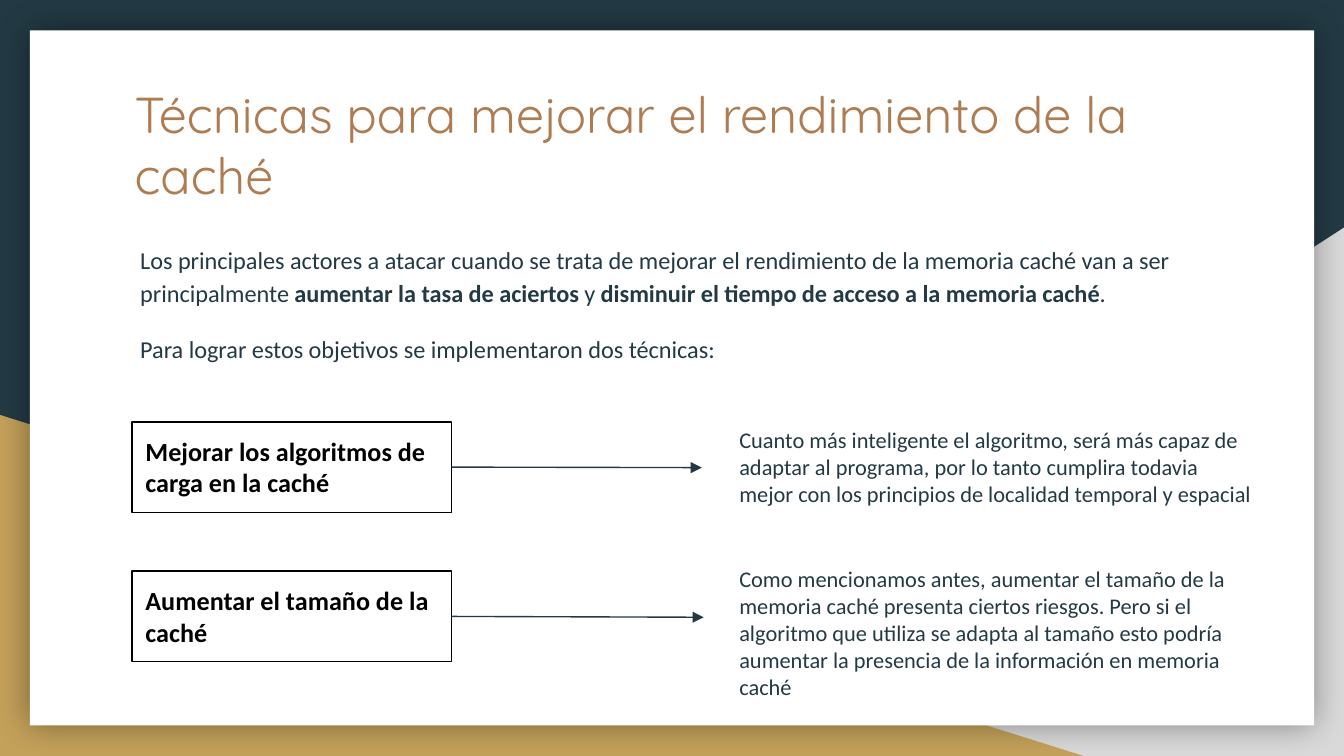
from lxml.etree import SubElement
from pptx import Presentation
from pptx.dml.color import RGBColor
from pptx.enum.shapes import MSO_CONNECTOR, MSO_SHAPE
from pptx.enum.text import MSO_ANCHOR, PP_ALIGN
from pptx.oxml import parse_xml
from pptx.oxml.ns import nsdecls, qn
from pptx.util import Pt

NAVY, GOLD, GRAY, WHITE, BLACK, COPPER = (
    "233A44", "C4A15A", "D9D9D9", "FFFFFF", "000000", "AF7B51")
INSET = 7.2

TITLE = [[("Técnicas para mejorar el rendimiento de la caché", False)]]
INTRO = [
    [("Los principales actores a atacar cuando se trata de mejorar el rendimiento "
      "de la memoria caché van a ser principalmente ", False),
     ("aumentar la tasa de aciertos", True),
     (" y ", False),
     ("disminuir el tiempo de acceso a la memoria caché", True),
     (".", False)],
    [("Para lograr estos objetivos se implementaron dos técnicas:", False)],
]
# technique, box top, arrow end (x, y), explanation, explanation top and height
TECHNIQUES = [
    ("Mejorar los algoritmos de carga en la caché", 226, (376, 250.5),
     "Cuanto más inteligente el algoritmo, será más capaz de adaptar al programa, "
     "por lo tanto cumplira todavia mejor con los principios de localidad temporal "
     "y espacial", 221.3, 58),
    ("Aumentar el tamaño de la caché", 306, (377, 330.7),
     "Como mencionamos antes, aumentar el tamaño de la memoria caché presenta "
     "ciertos riesgos. Pero si el algoritmo que utiliza se adapta al tamaño esto "
     "podría aumentar la presencia de la información en memoria caché", 295.7, 87),
]


def color(hex_code):
    return RGBColor.from_string(hex_code)


def set_all(target, values):
    for name, value in values.items():
        setattr(target, name, value)


def add_panel(slide, preset, bounds, fill=None, line=None):
    panel = slide.shapes.add_shape(preset, *map(Pt, bounds))
    panel.shadow.inherit = False
    if fill:
        panel.fill.solid()
        panel.fill.fore_color.rgb = color(fill)
    else:
        panel.fill.background()
    if line:
        panel.line.color.rgb = color(line)
        panel.line.width = Pt(0.75)
    else:
        panel.line.fill.background()
    return panel


def add_glow_shadow(panel):
    """Give the panel a soft dark shadow on all sides."""
    effects = panel.element.spPr.find(qn("a:effectLst"))
    effects.append(parse_xml(
        f'<a:outerShdw {nsdecls("a")} blurRad="{Pt(18)}" dist="0" algn="ctr" '
        'rotWithShape="0"><a:srgbClr val="000000"><a:alpha val="40000"/>'
        '</a:srgbClr></a:outerShdw>'))


def write(holder, paragraphs, size, hex_code, font="Calibri", spacing=None, gap=0):
    frame = holder.text_frame
    set_all(frame, {"word_wrap": True, "vertical_anchor": MSO_ANCHOR.TOP,
                    "margin_left": Pt(INSET), "margin_right": Pt(INSET),
                    "margin_top": Pt(INSET), "margin_bottom": Pt(INSET)})
    for index, runs in enumerate(paragraphs):
        paragraph = frame.add_paragraph() if index else frame.paragraphs[0]
        set_all(paragraph, {"alignment": PP_ALIGN.LEFT, "line_spacing": spacing,
                            "space_before": Pt(gap if index else 0)})
        for text, bold in runs:
            run = paragraph.add_run()
            run.text = text
            set_all(run.font, {"name": font, "size": Pt(size), "bold": bold})
            run.font.color.rgb = color(hex_code)


def add_text(slide, bounds, paragraphs, size, hex_code, **options):
    write(slide.shapes.add_textbox(*map(Pt, bounds)), paragraphs, size, hex_code,
          **options)


def add_arrow(slide, source, end):
    """Draw an arrow from the right side of source to a point."""
    arrow = slide.shapes.add_connector(
        MSO_CONNECTOR.STRAIGHT, 0, 0, *map(Pt, end))
    arrow.begin_connect(source, 3)
    arrow.line.color.rgb = color(NAVY)
    arrow.line.width = Pt(0.75)
    SubElement(arrow.line._get_or_add_ln(), qn("a:tailEnd"), type="triangle")
    SubElement(arrow.element.spPr, qn("a:effectLst"))


def add_backdrop(slide):
    slide.background.fill.solid()
    slide.background.fill.fore_color.rgb = color(NAVY)
    corner = add_panel(slide, MSO_SHAPE.RIGHT_TRIANGLE, (282, 122, 438, 283), GRAY)
    corner.element.spPr.xfrm.set("flipH", "1")
    add_panel(slide, MSO_SHAPE.RIGHT_TRIANGLE, (0, 222.3, 580.5, 182.7), GOLD)
    page = add_panel(slide, MSO_SHAPE.RECTANGLE, (16, 16.3, 688, 372.4), WHITE)
    add_glow_shadow(page)


def main():
    deck = Presentation()
    set_all(deck, {"slide_width": Pt(720), "slide_height": Pt(405)})
    slide = deck.slides.add_slide(deck.slide_layouts[6])

    add_backdrop(slide)
    add_text(slide, (65, 37.5, 591, 75), TITLE, 27, COPPER, font="Quicksand")
    add_text(slide, (68, 121.7, 591, 94), INTRO, 13, NAVY, spacing=1.15, gap=12)
    for technique, top, arrow_end, reason, reason_top, reason_height in TECHNIQUES:
        box = add_panel(slide, MSO_SHAPE.RECTANGLE, (70.8, top, 171, 48.5), line=BLACK)
        write(box, [[(technique, True)]], 14, BLACK)
        add_arrow(slide, box, arrow_end)
        add_text(slide, (389, reason_top, 291, reason_height),
                 [[(reason, False)]], 12, NAVY)
    deck.save("out.pptx")


if __name__ == "__main__":
    main()
